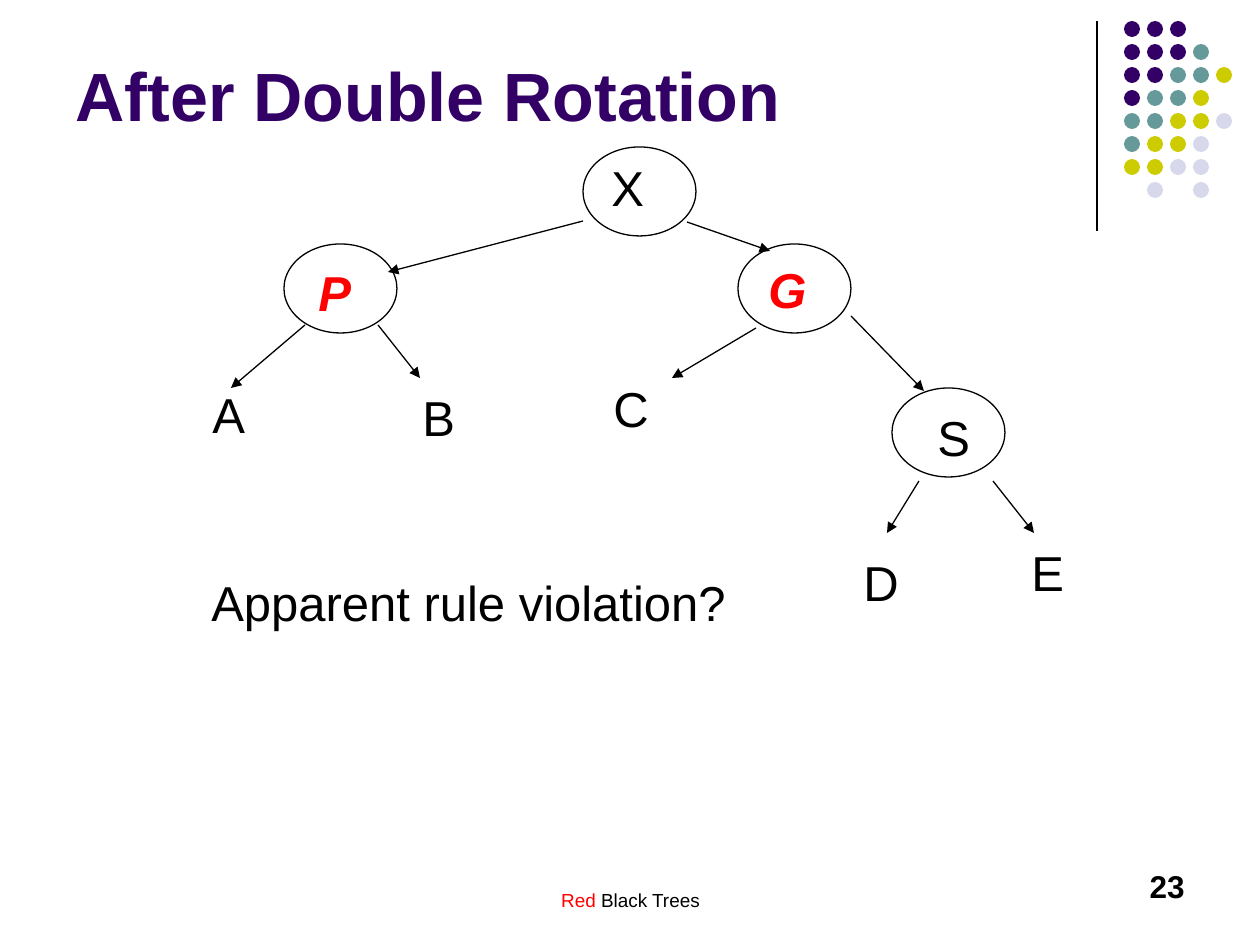
from lxml.etree import SubElement
from pptx import Presentation
from pptx.dml.color import RGBColor
from pptx.enum.shapes import MSO_CONNECTOR, MSO_SHAPE
from pptx.enum.text import MSO_ANCHOR, MSO_AUTO_SIZE, PP_ALIGN
from pptx.oxml.ns import qn
from pptx.util import Emu, Pt

PX_PER_INCH = 126
BLACK, RED, PURPLE = "000000", "FF0000", "330066"
DOT_COLORS = {"P": PURPLE, "T": "669999", "Y": "CCCC00", "L": "D8D8EC"}
DOT_ROWS = ["PPP", "PPPT", "PPTTY", "PTTY", "TTYYL", "TYYL", "YYLL", " L L"]
DOT_SIZE, DOT_STEP, DOT_LEFT, DOT_TOP = 16, 23, 1124, 21

NODE_WIDTH, NODE_HEIGHT = 113, 89
NODES = [(583, 147), (284, 244), (738, 244), (892, 388)]
EDGES = [
    (583, 221, 388, 272), (687, 222, 770, 251),
    (305, 325, 231, 388), (378, 325, 420, 378),
    (756, 328, 672, 378), (851, 316, 924, 391),
    (919, 481, 887, 533), (993, 481, 1034, 533),
]
PLAIN = {"size": Pt(28)}
RED_NODE = {"size": Pt(28), "bold": True, "italic": True}
LABELS = [
    ("X", 599, 151, 58, BLACK, PLAIN),
    ("P", 306, 256, 58, RED, RED_NODE),
    ("G", 756, 253, 63, RED, RED_NODE),
    ("S", 925, 401, 58, BLACK, PLAIN),
    ("A", 200, 378, 58, BLACK, PLAIN),
    ("B", 410, 381, 58, BLACK, PLAIN),
    ("C", 601, 372, 60, BLACK, PLAIN),
    ("D", 851, 546, 60, BLACK, PLAIN),
    ("E", 1019, 536, 58, BLACK, PLAIN),
    ("Apparent rule violation?", 199, 566, 539, BLACK, PLAIN),
]
LABEL_HEIGHT = 72


def px(length):
    return Emu(round(length * 914400 / PX_PER_INCH))


def color(value):
    return RGBColor.from_string(value)


def set_attributes(target, values):
    for name, value in values.items():
        setattr(target, name, value)


def add_ellipse(slide, left, top, width, height, fill=None):
    ellipse = slide.shapes.add_shape(
        MSO_SHAPE.OVAL, px(left), px(top), px(width), px(height))
    ellipse.shadow.inherit = False
    if fill:
        ellipse.fill.solid()
        ellipse.fill.fore_color.rgb = color(fill)
        ellipse.line.fill.background()
    else:
        ellipse.fill.background()
        ellipse.line.color.rgb = color(BLACK)
        ellipse.line.width = Pt(0.75)


def add_line(slide, ends, arrow=False):
    line = slide.shapes.add_connector(MSO_CONNECTOR.STRAIGHT, *map(px, ends))
    line.line.color.rgb = color(BLACK)
    line.line.width = Pt(0.75)
    properties = line.element.spPr
    if arrow:
        SubElement(properties.find(qn("a:ln")), qn("a:tailEnd"), type="triangle")
    SubElement(properties, qn("a:effectLst"))


def add_text(slide, bounds, runs, font, frame, align=PP_ALIGN.LEFT):
    text_frame = slide.shapes.add_textbox(*map(px, bounds)).text_frame
    set_attributes(text_frame, frame)
    paragraph = text_frame.paragraphs[0]
    paragraph.alignment = align
    for words, run_color in runs:
        run = paragraph.add_run()
        run.text = words
        set_attributes(run.font, {"name": "Arial", **font})
        run.font.color.rgb = color(run_color)


def add_dot_grid(slide):
    for row, dots in enumerate(DOT_ROWS):
        for column, dot in enumerate(dots):
            if dot in DOT_COLORS:
                add_ellipse(slide, DOT_LEFT + column * DOT_STEP,
                            DOT_TOP + row * DOT_STEP,
                            DOT_SIZE, DOT_SIZE, DOT_COLORS[dot])


def add_tree(slide):
    for left, top in NODES:
        add_ellipse(slide, left, top, NODE_WIDTH, NODE_HEIGHT)
    for ends in EDGES:
        add_line(slide, ends, arrow=True)
    frame = {"word_wrap": False, "auto_size": MSO_AUTO_SIZE.SHAPE_TO_FIT_TEXT}
    for words, left, top, width, text_color, font in LABELS:
        add_text(slide, (left, top, width, LABEL_HEIGHT),
                 [(words, text_color)], font, frame)


def main():
    presentation = Presentation()
    presentation.slide_width = px(1260)
    presentation.slide_height = px(945)
    slide = presentation.slides.add_slide(presentation.slide_layouts[6])

    add_line(slide, (1097, 21, 1097, 231))
    add_dot_grid(slide)
    add_text(slide, (431, 861, 399, 63),
             [("Red ", RED), ("Black Trees", BLACK)], {"size": Pt(10.8)},
             {"word_wrap": True, "margin_top": px(28)}, PP_ALIGN.CENTER)
    add_text(slide, (903, 861, 294, 63), [("23", BLACK)],
             {"size": Pt(18), "bold": True}, {"word_wrap": True}, PP_ALIGN.RIGHT)
    add_text(slide, (63, 16, 1013, 125), [("After Double Rotation", PURPLE)],
             {"size": Pt(39), "bold": True},
             {"word_wrap": True, "vertical_anchor": MSO_ANCHOR.BOTTOM})
    add_tree(slide)
    presentation.save("out.pptx")


if __name__ == "__main__":
    main()
